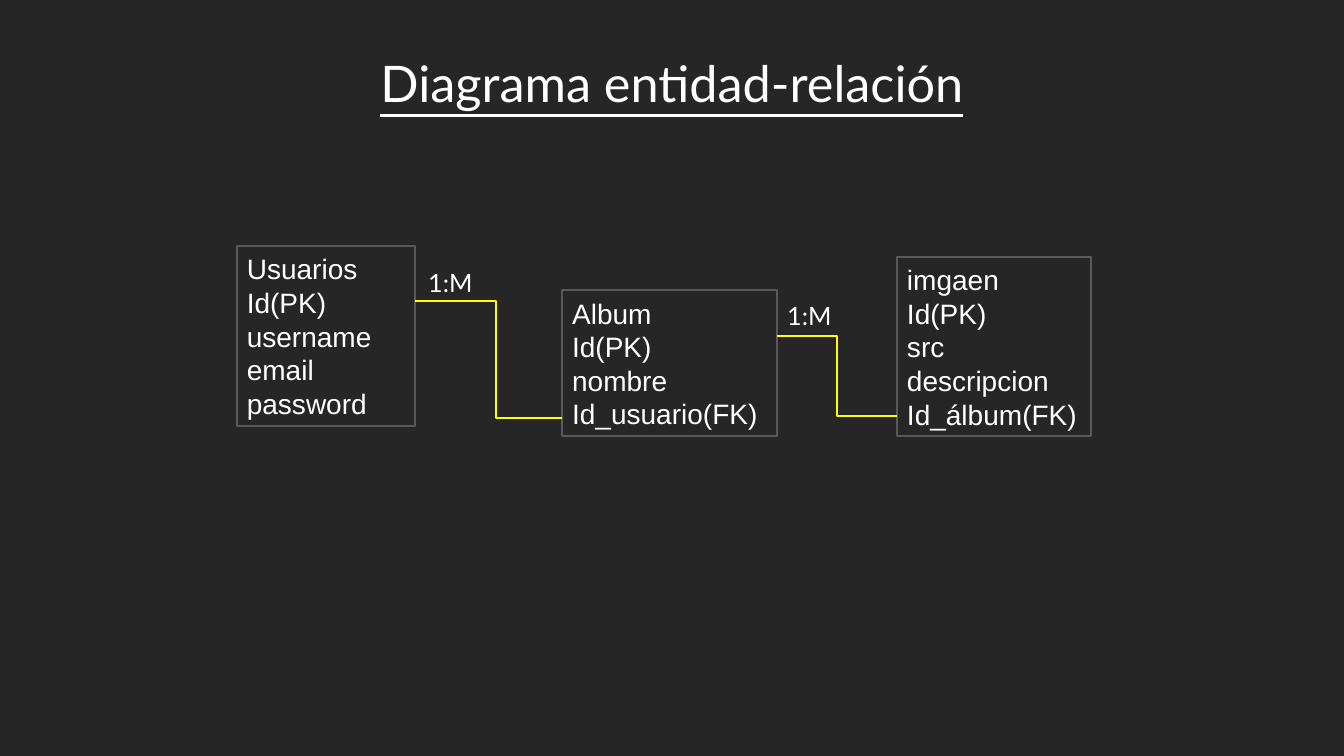
"""Build the entity-relationship diagram slide."""
from dataclasses import dataclass

from lxml import etree
from pptx import Presentation
from pptx import util as u
from pptx.dml.color import RGBColor
from pptx.enum import shapes, text
from pptx.oxml import ns
from pptx.slide import Slide
from pptx.text.text import TextFrame


@dataclass(frozen=True)
class Theme:
    background: RGBColor = RGBColor(0x26, 0x26, 0x26)
    ink: RGBColor = RGBColor(0xFF, 0xFF, 0xFF)
    border: RGBColor = RGBColor(0x59, 0x59, 0x59)
    relation: RGBColor = RGBColor(0xFF, 0xFF, 0x00)
    heading_font: str = "Lato"
    entity_font: str = "Arial"
    title_size: float = 36
    entity_size: float = 20
    label_size: float = 18
    entity_pitch: float = 24
    line_width: float = 1.5


@dataclass(frozen=True)
class Entity:
    lines: tuple[str, ...]
    left: float
    top: float
    width: float
    height: float

    @property
    def right(self) -> float:
        return self.left + self.width


@dataclass(frozen=True)
class Relation:
    source: Entity
    target: Entity
    start_y: float
    end_y: float
    bend: float
    label: str
    label_left: float
    label_top: float


THEME = Theme()
USERS = Entity(("Usuarios", "Id(PK)", "username", "email", "password"), 169.2, 175.7, 127.2, 128.4)
ALBUM = Entity(("Album", "Id(PK)", "nombre", "Id_usuario(FK)"), 401.6, 207.4, 153.4, 104.2)
IMAGE = Entity(("imgaen", "Id(PK)", "src", "descripcion", "Id_álbum(FK)"), 640.8, 183.6, 138.4, 128)
ENTITIES = (ALBUM, USERS, IMAGE)
RELATIONS = (
    Relation(USERS, ALBUM, 215.2, 298.6, 0.55, "1:M", 298.8, 187.2),
    Relation(ALBUM, IMAGE, 239.8, 297.2, 0.5, "1:M", 555.2, 211),
)


def write(frame: TextFrame, lines: tuple[str, ...], font_name: str, size: float) -> None:
    frame.text = "\n".join(lines)
    frame.word_wrap = True
    for paragraph in frame.paragraphs:
        paragraph.alignment = text.PP_ALIGN.LEFT
        paragraph.font.name = font_name
        paragraph.font.size = u.Pt(size)
        paragraph.font.color.rgb = THEME.ink


def draw_title(slide: Slide, words: str) -> None:
    title = slide.shapes.title
    title.left, title.top, title.width, title.height = map(u.Pt, (263.6, 33.8, 432.8, 51.2))
    frame = title.text_frame
    write(frame, (words,), THEME.heading_font, THEME.title_size)
    frame.word_wrap = False
    frame.auto_size = text.MSO_AUTO_SIZE.NONE
    frame.vertical_anchor = text.MSO_ANCHOR.TOP
    paragraph = frame.paragraphs[0]
    paragraph.alignment = text.PP_ALIGN.CENTER
    paragraph.line_spacing = 1.0
    paragraph.font.underline = True


def draw_entity(slide: Slide, entity: Entity) -> None:
    shape = slide.shapes.add_shape(
        shapes.MSO_SHAPE.RECTANGLE,
        *map(u.Pt, (entity.left, entity.top, entity.width, entity.height)),
    )
    shape.shadow.inherit = False
    shape.fill.background()
    shape.line.color.rgb = THEME.border
    shape.line.width = u.Pt(THEME.line_width)
    write(shape.text_frame, entity.lines, THEME.entity_font, THEME.entity_size)
    shape.text_frame.vertical_anchor = text.MSO_ANCHOR.MIDDLE
    for paragraph in shape.text_frame.paragraphs:
        paragraph.line_spacing = u.Pt(THEME.entity_pitch)


def draw_relation(slide: Slide, relation: Relation) -> None:
    connector = slide.shapes.add_connector(
        shapes.MSO_CONNECTOR.ELBOW,
        *map(u.Pt, (relation.source.right, relation.start_y, relation.target.left, relation.end_y)),
    )
    connector.line.color.rgb = THEME.relation
    connector.line.width = u.Pt(THEME.line_width)
    properties = connector.element.find(ns.qn("p:spPr"))
    etree.SubElement(properties, ns.qn("a:effectLst"))
    guides = properties.find(".//" + ns.qn("a:avLst"))
    bend = f"val {round(relation.bend * 100000)}"
    etree.SubElement(guides, ns.qn("a:gd"), name="adj1", fmla=bend)

    label = slide.shapes.add_textbox(
        *map(u.Pt, (relation.label_left, relation.label_top, 49.6, 29))
    )
    write(label.text_frame, (relation.label,), THEME.heading_font, THEME.label_size)


def main() -> None:
    presentation = Presentation()
    presentation.slide_width, presentation.slide_height = u.Pt(960), u.Pt(540)
    slide = presentation.slides.add_slide(presentation.slide_layouts.get_by_name("Title Only"))
    slide.background.fill.solid()
    slide.background.fill.fore_color.rgb = THEME.background
    draw_title(slide, "Diagrama entidad-relación")
    for entity in ENTITIES:
        draw_entity(slide, entity)
    for relation in RELATIONS:
        draw_relation(slide, relation)
    presentation.save("out.pptx")


if __name__ == "__main__":
    main()
